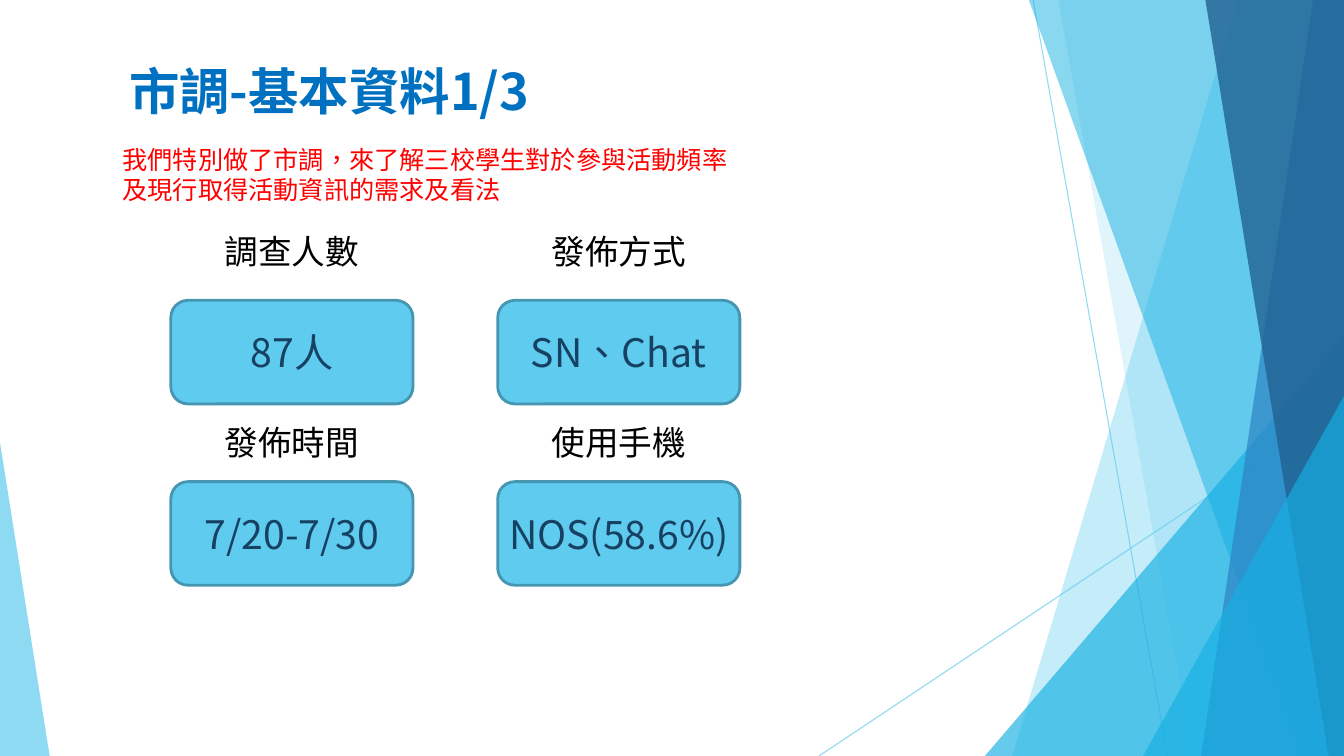
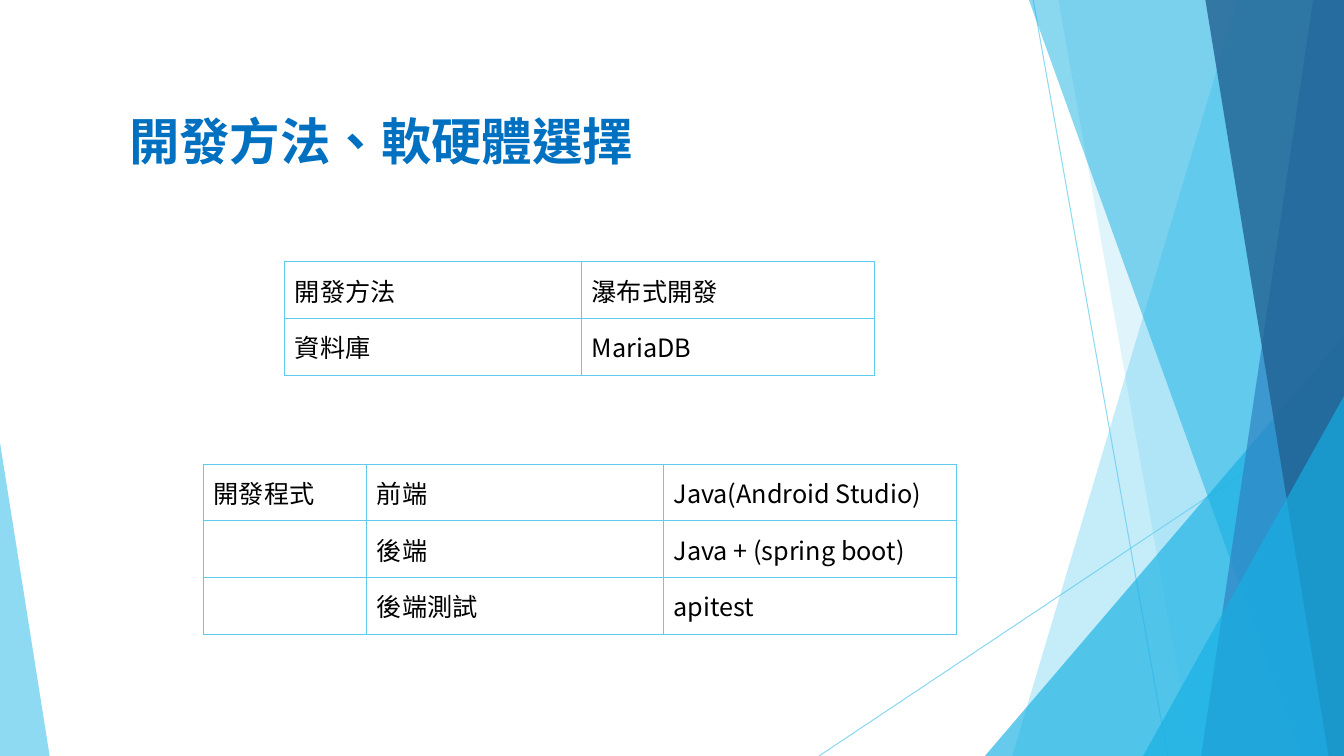
from dataclasses import dataclass

from pptx import Presentation
from pptx.dml.color import RGBColor
from pptx.enum.lang import MSO_LANGUAGE_ID as Language
from pptx.enum.shapes import MSO_CONNECTOR, MSO_SHAPE
from pptx.enum.text import MSO_ANCHOR as Anchor, MSO_AUTO_SIZE as AutoSize, PP_ALIGN as Align
from pptx.oxml.ns import qn
from pptx.oxml.xmlchemy import OxmlElement
from pptx.util import Pt


@dataclass(frozen=True)
class Theme:
    font: str = "Noto Sans CJK SC"
    title: str = "0070C0"
    body: str = "000000"
    accent: str = "FF0000"
    sky: str = "5FCBEF"
    cyan: str = "16B0E3"
    blue: str = "2E83C3"
    navy: str = "226292"
    card_line: str = "4696B1"
    card_text: str = "174162"
    title_size: int = 36
    card_size: int = 28
    label_size: int = 24
    body_size: int = 18


THEME = Theme()
WIDTH, HEIGHT = 960, 540

# Shared decoration, back to front
RAYS = [(738, 0, 834, HEIGHT), (WIDTH, 290, 585, HEIGHT)]
# Band: top-left x, bottom-left x. Triangle: left, top, width, height, apex.
FACETS = [
    ("band", (884, 723), THEME.sky, 36),
    ("band", (756, 852), THEME.sky, 20),
    ("triangle", (703.5, 240, 256.5, 300, 1), THEME.cyan, 66),
    ("band", (735, 929.5), THEME.cyan, 50),
    ("band", (938, 858), THEME.blue, 70),
    ("band", (861, 949), THEME.navy, 80),
    ("triangle", (816.5, 283, 143.5, 257, 1), THEME.cyan, 66),
    ("triangle", (0, 316, 35.5, 224, 0), THEME.sky, 70),
]

# Survey slide
SURVEY_TITLE = "市調-基本資料1/3"
SURVEY_INTRO = ["我們特別做了市調，來了解三校學生對於參與活動頻率", "及現行取得活動資訊的需求及看法"]
SURVEY_ROWS = [
    [("調查人數", "87人"), ("發佈方式", "SN、Chat")],
    [("發佈時間", "7/20-7/30"), ("使用手機", "NOS(58.6%)")],
]
ROW_TOPS = [(161, 214.5), (297.5, 344)]  # label top, card top
CARD_LEFT, CARD_PITCH, CARD_WIDTH, CARD_HEIGHT, LABEL_HEIGHT = 122, 233.5, 173, 74, 36

# Development slide
METHOD_TITLE = "開發方法、軟硬體選擇"
METHOD_TABLE = [["開發方法", "瀑布式開發"], ["資料庫", "MariaDB"]]
PROGRAM_TABLE = [
    ["開發程式", "前端", "Java(Android Studio)"],
    ["", "後端", "Java + (spring boot)"],
    ["", "後端測試", "apitest"],
]
COLUMN_WIDTHS = [116.5, 212, 209]
ROW_HEIGHT, CELL_INSET = 40.5, 7.2


def rgb(color):
    return RGBColor.from_string(color)


def set_alpha(shape, percent):
    for color in shape.element.iter(qn("a:srgbClr")):
        alpha = OxmlElement("a:alpha")
        alpha.set("val", str(percent * 1000))
        color.append(alpha)


def add_text(paragraph, text, size, color, bold=False, align=Align.LEFT):
    paragraph.alignment = align
    run = paragraph.add_run()
    run.text = text
    run.font.name = THEME.font
    run.font.size = Pt(size)
    run.font.bold = bold
    run.font.language_id = Language.TAIWAN_CHINESE if hasattr(Language, "TAIWAN_CHINESE") else Language.TRADITIONAL_CHINESE
    run.font.color.rgb = rgb(color)
    east_asian = OxmlElement("a:ea")
    east_asian.set("typeface", THEME.font)
    run.font._element.find(qn("a:latin")).addnext(east_asian)


def place(shape, left, top, width, height):
    shape.left, shape.top = Pt(left), Pt(top)
    shape.width, shape.height = Pt(width), Pt(height)


def add_shape(slide, kind, box, fill):
    shape = slide.shapes.add_shape(kind, *map(Pt, box))
    paint(shape, fill)
    return shape


def paint(shape, fill):
    shape.shadow.inherit = False
    shape.fill.solid()
    shape.fill.fore_color.rgb = rgb(fill)
    shape.line.fill.background()


def add_ray(slide, ends):
    ray = slide.shapes.add_connector(MSO_CONNECTOR.STRAIGHT, *map(Pt, ends))
    ray.line.color.rgb = rgb(THEME.sky)
    ray.line.width = Pt(0.75)
    ray.element.spPr.append(OxmlElement("a:effectLst"))
    set_alpha(ray, 70)
    return ray


def add_facet(slide, kind, geometry, color, opacity):
    if kind == "band":
        top_x, bottom_x = geometry
        builder = slide.shapes.build_freeform(Pt(top_x), 0)
        corners = [(WIDTH, 0), (WIDTH, HEIGHT), (bottom_x, HEIGHT)]
        builder.add_line_segments([(Pt(x), Pt(y)) for x, y in corners])
        facet = builder.convert_to_shape()
        paint(facet, color)
    else:
        *box, apex = geometry
        facet = add_shape(slide, MSO_SHAPE.ISOSCELES_TRIANGLE, box, color)
        facet.adjustments[0] = apex
    set_alpha(facet, opacity)
    return facet


def decorate_layout(slide):
    """Draw the decoration once and hand it to the slide's layout."""
    parts = [add_ray(slide, ends) for ends in RAYS]
    parts += [add_facet(slide, *facet) for facet in FACETS]
    layout_tree = slide.slide_layout.shapes.element
    for index, part in enumerate(parts):
        next(part.element.iter(qn("p:cNvPr"))).set("id", str(100 + index))
        layout_tree.insert(2 + index, part.element)


def set_title(slide, text, box, anchor):
    title = slide.shapes.title
    place(title, *box)
    frame = title.text_frame
    frame.auto_size = AutoSize.NONE
    frame.word_wrap = True
    frame.vertical_anchor = anchor
    add_text(frame.paragraphs[0], text, THEME.title_size, THEME.title, bold=True)


def add_label(slide, text, left, top):
    box = slide.shapes.add_textbox(*map(Pt, (left, top, CARD_WIDTH, LABEL_HEIGHT)))
    frame = box.text_frame
    frame.word_wrap = True
    frame.margin_top = frame.margin_bottom = 0
    frame.vertical_anchor = Anchor.MIDDLE
    add_text(frame.paragraphs[0], text, THEME.label_size, THEME.body, align=Align.CENTER)


def add_card(slide, text, left, top):
    box = (left, top, CARD_WIDTH, CARD_HEIGHT)
    card = add_shape(slide, MSO_SHAPE.ROUNDED_RECTANGLE, box, THEME.sky)
    card.line.color.rgb = rgb(THEME.card_line)
    card.line.width = Pt(2)
    frame = card.text_frame
    frame.vertical_anchor = Anchor.MIDDLE
    frame.margin_left = frame.margin_right = 0
    paragraph = frame.paragraphs[0]
    add_text(paragraph, text, THEME.card_size, THEME.card_text, align=Align.CENTER)


def add_borders(cell):
    properties = cell._tc.get_or_add_tcPr()
    for side in ("a:lnL", "a:lnR", "a:lnT", "a:lnB"):
        line = OxmlElement(side)
        line.set("w", str(Pt(1)))
        fill = OxmlElement("a:solidFill")
        color = OxmlElement("a:srgbClr")
        color.set("val", THEME.sky)
        fill.append(color)
        line.append(fill)
        properties.append(line)


def add_grid(slide, rows, left, top, widths, anchor):
    box = (left, top, sum(widths), ROW_HEIGHT * len(rows))
    table = slide.shapes.add_table(len(rows), len(widths), *map(Pt, box)).table
    table.first_row = table.horz_banding = False
    for column, width in zip(table.columns, widths):
        column.width = Pt(width)
    for row, texts in zip(table.rows, rows):
        row.height = Pt(ROW_HEIGHT)
        for cell, text in zip(row.cells, texts):
            add_borders(cell)
            cell.fill.background()
            cell.vertical_anchor = anchor
            cell.margin_left = cell.margin_right = Pt(CELL_INSET)
            cell.margin_top = cell.margin_bottom = Pt(CELL_INSET)
            if text:
                paragraph = cell.text_frame.paragraphs[0]
                add_text(paragraph, text, THEME.body_size, THEME.body)


def build_survey(slide):
    set_title(slide, SURVEY_TITLE, (85, 0, 612, 90), Anchor.BOTTOM)

    # Introduction
    frame = slide.shapes.add_textbox(Pt(80.5), Pt(99.5), Pt(451), Pt(51)).text_frame
    frame.word_wrap = False
    for index, text in enumerate(SURVEY_INTRO):
        paragraph = frame.add_paragraph() if index else frame.paragraphs[0]
        paragraph.line_spacing = Pt(21.5)
        add_text(paragraph, text, THEME.body_size, THEME.accent)

    # Labelled cards
    for (label_top, card_top), row in zip(ROW_TOPS, SURVEY_ROWS):
        for column, (label, value) in enumerate(row):
            left = CARD_LEFT + column * CARD_PITCH
            add_label(slide, label, left, label_top)
            add_card(slide, value, left, card_top)


def build_method(slide):
    set_title(slide, METHOD_TITLE, (85, 48, 677, 104), Anchor.MIDDLE)
    add_grid(slide, METHOD_TABLE, 203.5, 187, COLUMN_WIDTHS[1:], Anchor.MIDDLE)
    add_grid(slide, PROGRAM_TABLE, 145.5, 331.5, COLUMN_WIDTHS, Anchor.TOP)


def main():
    presentation = Presentation()
    presentation.slide_width, presentation.slide_height = Pt(WIDTH), Pt(HEIGHT)
    title_only = presentation.slide_layouts.get_by_name("Title Only")
    survey, method = [presentation.slides.add_slide(title_only) for _ in range(2)]
    decorate_layout(survey)
    build_survey(survey)
    build_method(method)
    presentation.save("out.pptx")


if __name__ == "__main__":
    main()
